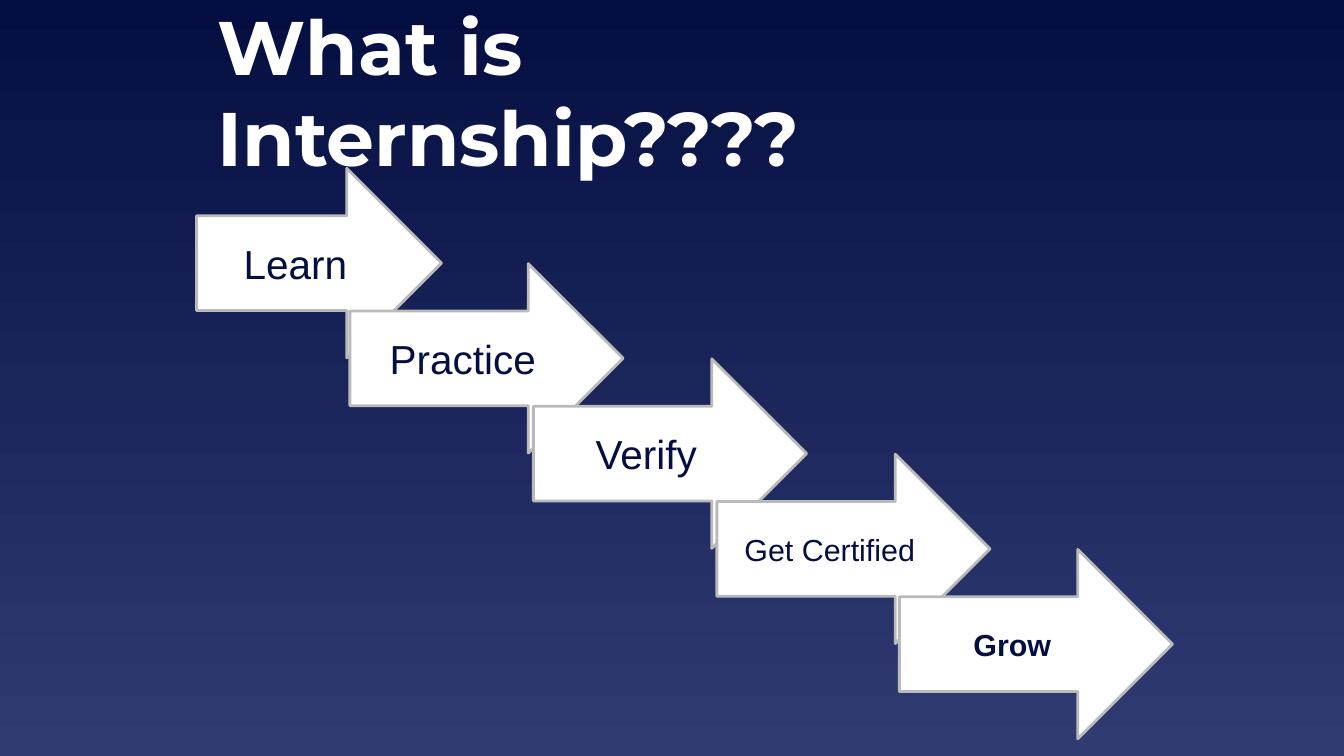
from pptx import Presentation
from pptx.dml.color import RGBColor
from pptx.enum.shapes import MSO_SHAPE
from pptx.enum.text import MSO_ANCHOR, PP_ALIGN
from pptx.util import Inches, Pt

RIGHT_ARROW = MSO_SHAPE.RIGHT_ARROW
MIDDLE = MSO_ANCHOR.MIDDLE
CENTER = PP_ALIGN.CENTER

COLORS = {
    "navy": "040E41",
    "slate": "303B72",
    "white": "FFFFFF",
    "gray": "BABABA",
}

# label, left, width, font size, bold
STEPS = [
    ("Learn", 1.95, 2.43, 28.9, False),
    ("Practice", 3.47, 2.71, 28.9, False),
    ("Verify", 5.29, 2.71, 28.9, False),
    ("Get Certified", 7.11, 2.71, 21.7, False),
    ("Grow", 8.92, 2.71, 21.7, True),
]
FIRST_TOP, LAST_TOP = 1.67, 5.45
ARROW_HEIGHT = 1.88


def color(name):
    return RGBColor.from_string(COLORS[name])


def write_text(text_frame, text, font_name, size, color_name, bold, margins):
    """Fill a text frame with one styled paragraph; margins are (side, top and bottom)."""
    side, vertical = margins
    text_frame.margin_left = text_frame.margin_right = Inches(side)
    text_frame.margin_top = text_frame.margin_bottom = Inches(vertical)
    text_frame.word_wrap = True
    text_frame.text = text
    font = text_frame.paragraphs[0].runs[0].font
    font.name = font_name
    font.size = Pt(size)
    font.bold = bold
    font.color.rgb = color(color_name)


presentation = Presentation()
presentation.slide_width = Inches(13.33)
presentation.slide_height = Inches(7.5)
slide = presentation.slides.add_slide(presentation.slide_layouts[6])

# Background gradient, top to bottom
background = slide.background.fill
background.gradient()
background.gradient_angle = 270
for stop, position, name in zip(background.gradient_stops, (0, 1), ("navy", "slate")):
    stop.position = position
    stop.color.rgb = color(name)

# Title
title = slide.shapes.add_textbox(Inches(2.16), Inches(0), Inches(8.14), Inches(0.47))
write_text(title.text_frame, "What is Internship????", "Montserrat", 54.2, "white", True, (0, 0))

# Staircase of arrows
top_step = (LAST_TOP - FIRST_TOP) / (len(STEPS) - 1)
for index, (label, left, width, size, bold) in enumerate(STEPS):
    arrow = slide.shapes.add_shape(
        RIGHT_ARROW,
        Inches(left),
        Inches(FIRST_TOP + index * top_step),
        Inches(width),
        Inches(ARROW_HEIGHT),
    )
    arrow.shadow.inherit = False
    arrow.fill.solid()
    arrow.fill.fore_color.rgb = color("white")
    arrow.line.color.rgb = color("gray")
    arrow.line.width = Pt(2)
    write_text(arrow.text_frame, label, "Arial", size, "navy", bold, (0.13, 0.07))
    arrow.text_frame.vertical_anchor = MIDDLE
    arrow.text_frame.paragraphs[0].alignment = CENTER

presentation.save("out.pptx")
